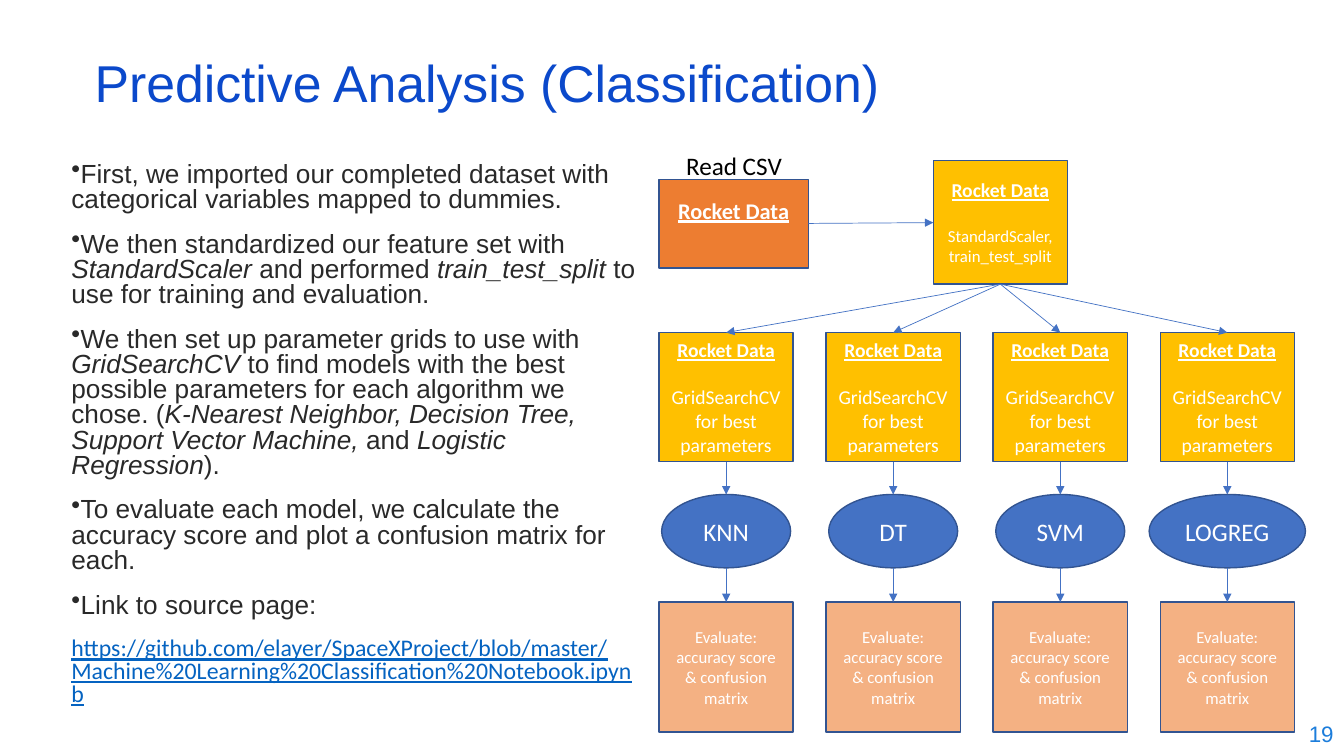
from dataclasses import dataclass
from lxml.etree import SubElement
from pptx import Presentation
from pptx.dml.color import RGBColor
from pptx.enum.shapes import MSO_CONNECTOR as Connector, MSO_SHAPE as Shape
from pptx.enum.text import MSO_ANCHOR as Anchor, MSO_AUTO_SIZE as AutoSize, PP_ALIGN as Align
from pptx.oxml.ns import qn
from pptx.util import Cm, Pt


@dataclass(frozen=True)
class Theme:
    title: RGBColor = RGBColor.from_string("0B49CB")
    body: RGBColor = RGBColor.from_string("292929")
    link: RGBColor = RGBColor.from_string("0563C1")
    number: RGBColor = RGBColor.from_string("1C7DDB")
    black: RGBColor = RGBColor.from_string("000000")
    white: RGBColor = RGBColor.from_string("FFFFFF")
    orange: RGBColor = RGBColor.from_string("ED7D31")
    gold: RGBColor = RGBColor.from_string("FFC000")
    peach: RGBColor = RGBColor.from_string("F4B183")
    blue: RGBColor = RGBColor.from_string("4472C4")
    outline: RGBColor = RGBColor.from_string("325491")
    heading_font: str = "Arial"
    diagram_font: str = "Calibri"
    title_size: float = 37
    body_size: float = 18.7
    link_size: float = 17
    large: float = 18
    medium: float = 16
    small: float = 14
    tiny: float = 12


theme = Theme()
prs = Presentation()
prs.slide_width, prs.slide_height = Cm(33.87), Cm(19.05)
slide = prs.slides.add_slide(prs.slide_layouts[5])
shapes = slide.shapes


def add_block(kind, left, top, width, height, fill, lines, headed=False):
    block = shapes.add_shape(kind, Cm(left), Cm(top), Cm(width), Cm(height))
    block.shadow.inherit = False
    block.fill.solid()
    block.fill.fore_color.rgb = fill
    block.line.color.rgb = theme.outline
    block.line.width = Pt(1)
    frame = block.text_frame
    frame.word_wrap = True
    frame.vertical_anchor = Anchor.MIDDLE
    frame.text = "\n".join(text for text, size in lines)
    for index, (paragraph, (text, size)) in enumerate(zip(frame.paragraphs, lines)):
        paragraph.alignment = Align.CENTER
        paragraph.space_before = Pt(17 * index)
        font = paragraph.runs[0].font
        font.name, font.size, font.color.rgb = theme.diagram_font, Pt(size), theme.white
        font.bold = font.underline = headed and index == 0
    return block


def add_arrow(x1, y1, x2, y2):
    arrow = shapes.add_connector(Connector.STRAIGHT, Cm(x1), Cm(y1), Cm(x2), Cm(y2))
    arrow.line.color.rgb = theme.blue
    arrow.line.width = Pt(0.5)
    SubElement(arrow.line._ln, qn("a:tailEnd"), type="triangle")
    SubElement(arrow._element.spPr, qn("a:effectLst"))


title = shapes.title
title.left, title.top, title.width, title.height = Cm(2.13), Cm(1.5), Cm(29.21), Cm(1.52)
page_number = shapes.add_textbox(Cm(26.24), Cm(17.93), Cm(7.62), Cm(1.12))
csv_label = shapes.add_textbox(Cm(17.04), Cm(3.66), Cm(3.35), Cm(1.02))

for box, text, font_name, size, color, align, anchor in (
    (title, "Predictive Analysis (Classification)", theme.heading_font,
     theme.title_size, theme.title, Align.LEFT, Anchor.MIDDLE),
    (page_number, "19", theme.heading_font,
     theme.medium, theme.number, Align.RIGHT, Anchor.MIDDLE),
    (csv_label, "Read CSV", theme.diagram_font,
     theme.large, theme.black, Align.LEFT, Anchor.TOP),
):
    frame = box.text_frame
    frame.text = text
    frame.word_wrap = True
    frame.auto_size = AutoSize.NONE
    frame.vertical_anchor = anchor
    frame.paragraphs[0].alignment = align
    font = frame.paragraphs[0].runs[0].font
    font.name, font.size, font.color.rgb = font_name, Pt(size), color
title.text_frame.paragraphs[0].line_spacing = 0.7

steps = (
    ("First, we imported our completed dataset with categorical variables mapped to dummies.",),
    ("We then standardized our feature set with ", "StandardScaler", " and performed ",
     "train_test_split ", "to use for training and evaluation."),
    ("We then set up parameter grids to use with ", "GridSearchCV",
     " to find models with the best possible parameters for each algorithm we chose. (",
     "K-Nearest Neighbor, Decision Tree, Support Vector Machine, ", "and",
     " Logistic Regression", ")."),
    ("To evaluate each model, we calculate the accuracy score and plot a confusion matrix for each.",),
    ("Link to source page:",),
)
explanation = shapes.add_textbox(Cm(1.55), Cm(3.99), Cm(14.78), Cm(14.53)).text_frame
explanation.word_wrap = True
for index, pieces in enumerate(steps):
    step = explanation.add_paragraph() if index else explanation.paragraphs[0]
    step.line_spacing = 0.8
    step.space_before = Pt(14 if index else 0)
    SubElement(step._p.get_or_add_pPr(), qn("a:buChar"), char="•")
    for position, piece in enumerate(pieces):
        run = step.add_run()
        run.text = piece
        run.font.name, run.font.size = theme.heading_font, Pt(theme.body_size)
        run.font.color.rgb = theme.body
        run.font.italic = position % 2 == 1

address = explanation.add_paragraph()
address.text = ("https://github.com/elayer/SpaceXProject/blob/master/"
                "Machine%20Learning%20Classification%20Notebook.ipynb")
address.line_spacing = 0.8
address.space_before = Pt(14)
font = address.runs[0].font
font.name, font.size, font.color.rgb = theme.diagram_font, Pt(theme.link_size), theme.link
font.underline = True

data_name = "Rocket Data"
first_left, column_step, block_width = 16.61, 4.21, 3.38
grid_top, grid_height = 8.38, 3.25
model_top, model_height = 12.46, 1.85
evaluate_top, evaluate_height = 15.17, 3.28
scaler_left, scaler_top, scaler_height = 23.52, 4.04, 3.12

raw_data = add_block(Shape.RECTANGLE, first_left, 4.52, 3.76, 2.24, theme.orange,
                     [(data_name, theme.medium)], headed=True)
raw_data.text_frame.margin_bottom = Cm(0.81)
add_block(Shape.RECTANGLE, scaler_left, scaler_top, block_width, scaler_height, theme.gold,
          [(data_name, theme.small), ("StandardScaler, train_test_split", theme.tiny)], headed=True)
add_arrow(20.37, 5.63, scaler_left, 5.61)

for column, (model, model_width) in enumerate(
        (("KNN", 3.25), ("DT", 3.25), ("SVM", 3.25), ("LOGREG", 3.94))):
    left = first_left + column * column_step
    center = left + block_width / 2
    add_block(Shape.RECTANGLE, left, grid_top, block_width, grid_height, theme.gold,
              [(data_name, theme.small), ("GridSearchCV for best parameters", theme.small)],
              headed=True)
    add_block(Shape.OVAL, center - model_width / 2, model_top, model_width, model_height,
              theme.blue, [(model, theme.large)])
    add_block(Shape.RECTANGLE, left, evaluate_top, block_width, evaluate_height, theme.peach,
              [("Evaluate: accuracy score & confusion matrix", theme.tiny)])
    add_arrow(scaler_left + block_width / 2, scaler_top + scaler_height, center, grid_top)
    add_arrow(center, grid_top + grid_height, center, model_top)
    add_arrow(center, model_top + model_height, center, evaluate_top)

prs.save("out.pptx")
